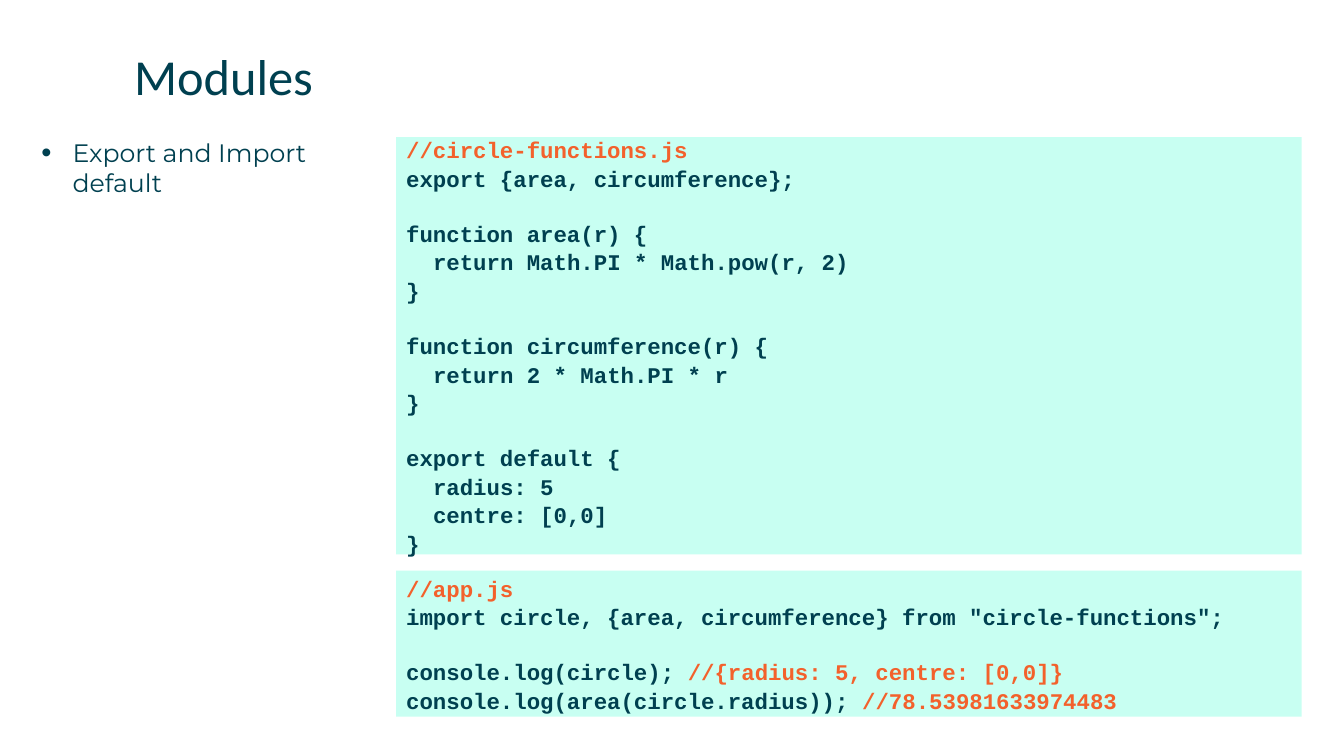
from lxml import etree
from pptx import Presentation
from pptx.dml.color import RGBColor as RGB
from pptx.enum.shapes import MSO_SHAPE as Shape
from pptx.enum.text import MSO_ANCHOR as Anchor, PP_ALIGN as Align
from pptx.oxml.ns import qn
from pptx.util import Inches, Pt

COLORS = {"ink": "004050", "comment": "F3612C", "panel": "C8FFF2"}
CODE_SIZE = 16
LINE_SPACING = 1.06
LINE_HEIGHT = 19.2  # points per line of code
CODE_INDENT = 2 * 0.6 * CODE_SIZE  # two monospaced characters

deck = Presentation()
deck.slide_width, deck.slide_height = Inches(13.33), Inches(7.5)
page = deck.slides.add_slide(deck.slide_layouts[6])


def style_font(font, name, size, color, bold=False):
    font.name, font.size, font.bold = name, Pt(size), bold
    font.color.rgb = RGB.from_string(COLORS[color])


def add_text(left, top, width, height, text, name, size):
    frame = page.shapes.add_textbox(*map(Inches, (left, top, width, height))).text_frame
    frame.word_wrap = True
    frame.margin_left = frame.margin_right = frame.margin_top = frame.margin_bottom = 0
    para = frame.paragraphs[0]
    para.text = text
    style_font(para.font, name, size, "ink")
    return para


# Title
title = add_text(1.33, 0.41, 11.59, 0.57, "Modules", "Calibri", 36)
title.line_spacing = LINE_SPACING

# Bullet column
bullet = add_text(0.41, 1.36, 3.52, 5.73, "Export and Import default", "Montserrat", 18)
bullet.space_after = Pt(6.5)
props = bullet._p.get_or_add_pPr()
props.set("marL", str(Inches(0.31)))
props.set("indent", str(-Inches(0.31)))
etree.SubElement(props, qn("a:buSzPct")).set("val", "115000")
etree.SubElement(props, qn("a:buFont")).set("typeface", "Arial")
etree.SubElement(props, qn("a:buChar")).set("char", "•")

# Code panels: top, height, source text
panels = [
    (1.36, 4.14, """//circle-functions.js
export {area, circumference};

function area(r) {
  return Math.PI * Math.pow(r, 2)
}

function circumference(r) {
  return 2 * Math.PI * r
}

export default {
  radius: 5
  centre: [0,0]
}"""),
    (5.66, 1.45, """//app.js
import circle, {area, circumference} from "circle-functions";

console.log(circle); //{radius: 5, centre: [0,0]}
console.log(area(circle.radius)); //78.53981633974483"""),
]

for top, height, source in panels:
    box = page.shapes.add_shape(Shape.RECTANGLE, *map(Inches, (3.93, top, 8.98, height)))
    box.shadow.inherit = False
    box.fill.solid()
    box.fill.fore_color.rgb = RGB.from_string(COLORS["panel"])
    box.line.fill.background()
    frame = box.text_frame
    frame.word_wrap = True
    frame.vertical_anchor = Anchor.MIDDLE

    # A blank source line becomes space above the next paragraph
    para, gap = frame.paragraphs[0], 0
    for number, line in enumerate(source.split("\n")):
        if not line:
            gap = LINE_HEIGHT
            continue
        if number:
            para = frame.add_paragraph()
        para.alignment = Align.LEFT
        para.line_spacing = LINE_SPACING
        para.space_before, gap = Pt(gap), 0
        if line.startswith(" "):
            para._p.get_or_add_pPr().set("marL", str(Pt(CODE_INDENT)))
        style_font(para.font, "Courier New", CODE_SIZE, "ink", bold=True)

        # Code first, then the comment in its own colour
        code, slashes, comment = line.strip().partition("//")
        for text, color in ((code, "ink"), (slashes + comment, "comment")):
            if text:
                span = para.add_run()
                span.text = text
                span.font.color.rgb = RGB.from_string(COLORS[color])

deck.save("out.pptx")
